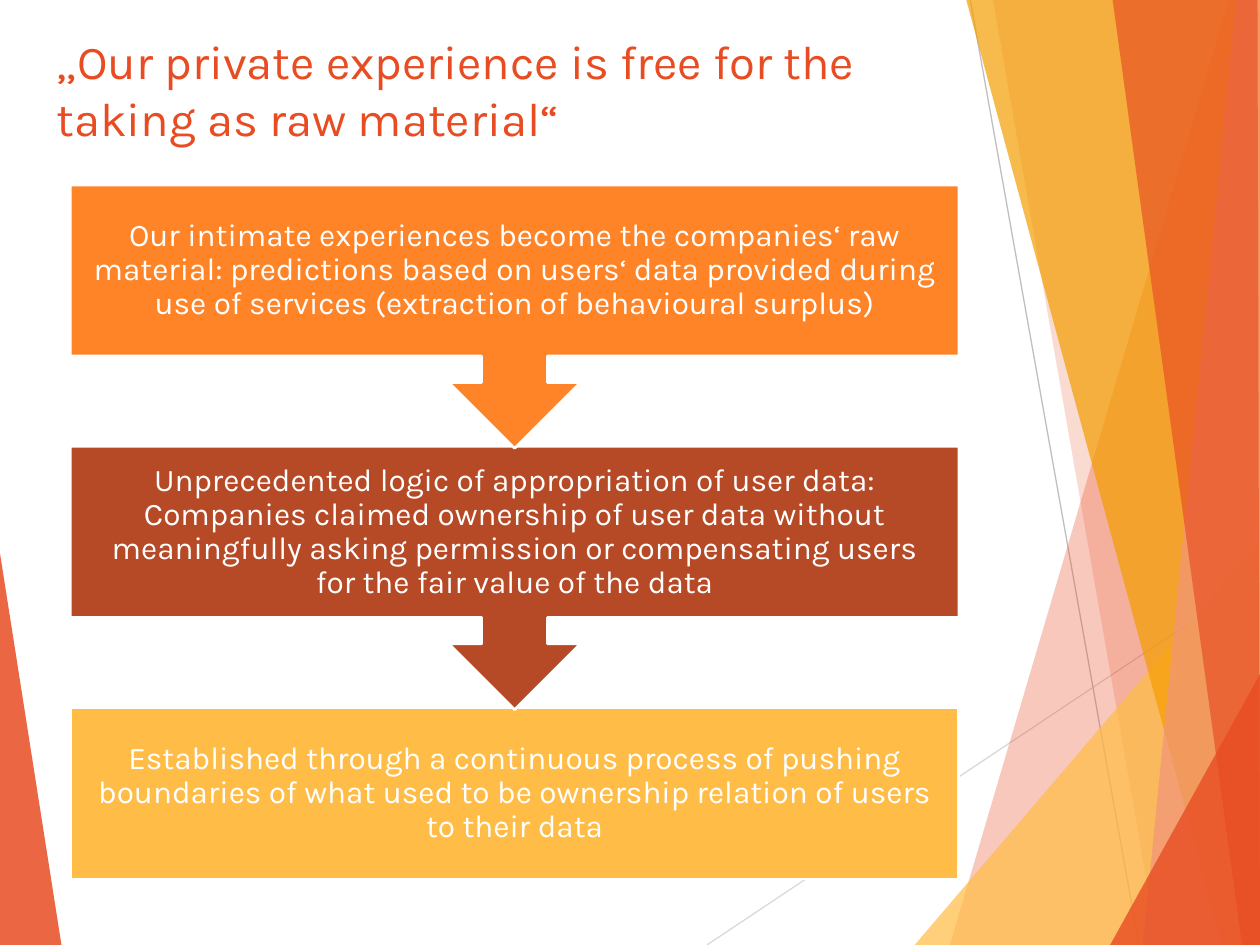
from lxml import etree
from pptx import Presentation
from pptx.dml.color import RGBColor
from pptx.enum import shapes, text
from pptx.oxml import ns
from pptx.util import Cm, Pt

WHITE = RGBColor(0xFF, 0xFF, 0xFF)
RED = RGBColor(0xE8, 0x4C, 0x22)
GOLD = RGBColor(0xFF, 0xBD, 0x47)
AMBER = RGBColor(0xF4, 0x9D, 0x00)
SALMON = RGBColor(0xF1, 0x94, 0x7A)
ORANGE = RGBColor(0xFF, 0x84, 0x27)
RUST = RGBColor(0xB6, 0x49, 0x26)
PALE = RGBColor(0xD9, 0xD9, 0xD9)
GREY = RGBColor(0xBF, 0xBF, 0xBF)
FONT = "Karla"
WIDE, HIGH = 25.4, 19.05

LEFT = [(RED, 85, [(0, 11.15), (1.24, HIGH), (0, HIGH)])]
RIGHT = [
    (RED, 30, [(24.77, 0), (19.15, HIGH), (WIDE, HIGH), (WIDE, 0)]),
    (RED, 20, [(20.02, 0), (23.34, HIGH), (WIDE, HIGH), (WIDE, 0)]),
    (GOLD, 72, [(18.44, HIGH), (WIDE, 10.9), (WIDE, HIGH)]),
    (AMBER, 70, [(19.48, 0), (24.64, HIGH), (WIDE, HIGH), (WIDE, 0)]),
    (SALMON, 70, [(24.92, 0), (23.04, HIGH), (WIDE, HIGH), (WIDE, 0)]),
    (RED, 65, [(22.43, 0), (25.04, HIGH), (WIDE, HIGH), (25.35, 0)]),
    (RED, 80, [(22.38, HIGH), (WIDE, 13.59), (WIDE, HIGH)]),
]
RULES = [(PALE, 14.25, HIGH, WIDE, 11.61), (GREY, 19.56, 0, 22.96, HIGH)]

TITLE = "„Our private experience is free for the taking as raw material“"
STEPS = [
    (ORANGE, "Our intimate experiences become the companies‘ raw material: "
     "predictions based on users‘ data provided during use of services "
     "(extraction of behavioural surplus)"),
    (RUST, "Unprecedented logic of appropriation of user data: Companies "
     "claimed ownership of user data without meaningfully asking permission "
     "or compensating users for the fair value of the data"),
    (GOLD, "Established through a continuous process of pushing boundaries "
     "of what used to be ownership relation of users to their data"),
]


def add_shards(slide, shards):
    """Draw see-through polygons given as (colour, opacity %, points in cm)."""
    for color, alpha, points in shards:
        first, *rest = [(Cm(x), Cm(y)) for x, y in points]
        pen = slide.shapes.build_freeform(*first)
        pen.add_line_segments(rest, close=True)
        shard = pen.convert_to_shape()
        shard.shadow.inherit = False
        shard.line.fill.background()
        shard.fill.solid()
        shard.fill.fore_color.rgb = color
        tint = shard.fill._xPr.find(".//" + ns.qn("a:srgbClr"))
        etree.SubElement(tint, ns.qn("a:alpha"), val=str(alpha * 1000))


def add_rules(slide):
    for color, *ends in RULES:
        rule = slide.shapes.add_connector(
            shapes.MSO_CONNECTOR.STRAIGHT, *map(Cm, ends))
        rule.line.color.rgb = color
        rule.line.width = Pt(0.75)
        etree.SubElement(rule._element.spPr, ns.qn("a:effectLst"))


def style(para, size, color):
    para.font.name = FONT
    para.font.size = Pt(size)
    para.font.color.rgb = color


def add_title(slide, x, y, w, h):
    frame = slide.shapes.add_textbox(Cm(x), Cm(y), Cm(w), Cm(h)).text_frame
    frame.word_wrap = True
    frame.text = TITLE
    style(frame.paragraphs[0], 27, RED)


def add_steps(slide, x, y, w, h):
    """Stack the steps; all but the last are callouts pointing at the next."""
    gap = 1.82
    box = (h - gap * (len(STEPS) - 1)) / len(STEPS)
    last = len(STEPS) - 1
    for i in reversed(range(len(STEPS))):
        color, words = STEPS[i]
        kind = shapes.MSO_SHAPE.DOWN_ARROW_CALLOUT
        tall = box / 0.65
        if i == last:
            kind, tall = shapes.MSO_SHAPE.RECTANGLE, box
        step = slide.shapes.add_shape(
            kind, Cm(x), Cm(y + i * (box + gap)), Cm(w), Cm(tall))
        step.shadow.inherit = False
        step.fill.solid()
        step.fill.fore_color.rgb = color
        step.line.color.rgb = WHITE
        step.line.width = Pt(1.5)
        frame = step.text_frame
        frame.word_wrap = True
        frame.vertical_anchor = text.MSO_ANCHOR.MIDDLE
        frame.margin_left = frame.margin_right = Cm(0.36)
        frame.margin_top = frame.margin_bottom = Cm(0.36)
        frame.text = words
        para = frame.paragraphs[0]
        para.alignment = text.PP_ALIGN.CENTER
        para.line_spacing = 0.9
        style(para, 18, WHITE)


def main():
    deck = Presentation()
    deck.slide_width, deck.slide_height = Cm(WIDE), Cm(HIGH)
    slide = deck.slides.add_slide(deck.slide_layouts[6])
    add_shards(slide, LEFT)
    add_rules(slide)
    add_shards(slide, RIGHT)
    add_title(slide, 0.89, 0.53, 17.91, 2.74)
    add_steps(slide, 1.42, 3.73, 17.91, 13.99)
    deck.save("out.pptx")


if __name__ == "__main__":
    main()
